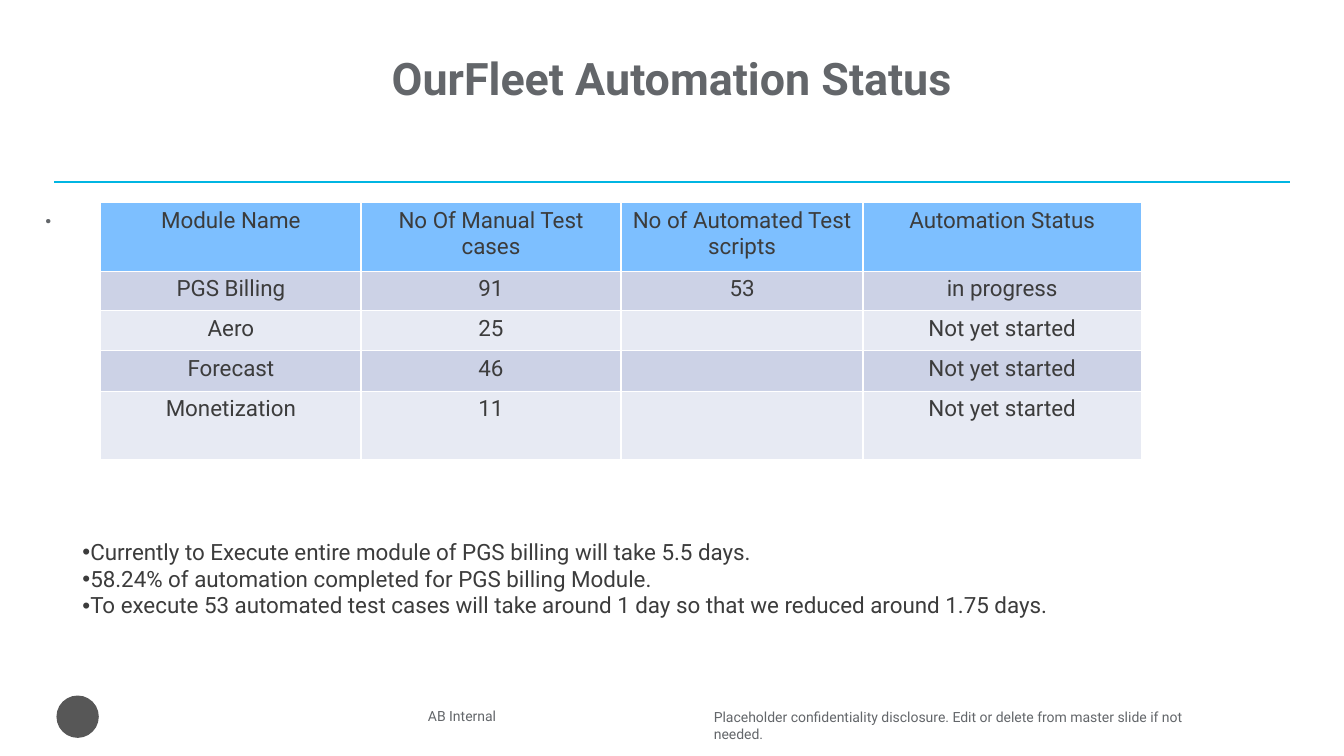
"""Build the fleet automation status slide."""
from lxml.etree import SubElement
from pptx import Presentation
from pptx.dml.color import RGBColor
from pptx.enum.shapes import MSO_CONNECTOR, MSO_SHAPE
from pptx.enum.text import MSO_ANCHOR, PP_ALIGN
from pptx.oxml.ns import qn
from pptx.util import Inches, Pt

GRAY = RGBColor(0x63, 0x66, 0x6A)
DARK = RGBColor(0x3C, 0x3C, 0x3C)
BADGE = RGBColor(0x57, 0x57, 0x57)
CYAN = RGBColor(0x00, 0xB5, 0xE2)
HEAD = RGBColor(0x7D, 0xBF, 0xFF)
BANDS = [RGBColor(0xE7, 0xEA, 0xF3), RGBColor(0xCC, 0xD2, 0xE6)]


def write(para, text, size, color, bold=False, **form):
    """Add a styled run and set the paragraph format."""
    run = para.add_run()
    run.text = text
    run.font.color.rgb = color
    for key, val in {"name": "Roboto", "size": Pt(size), "bold": bold}.items():
        setattr(run.font, key, val)
    for key, val in form.items():
        setattr(para, key, val)


def place(shape, box, inset=0):
    """Move a text shape and return its formatted frame."""
    for key, val in zip(("left", "top", "width", "height"), box):
        setattr(shape, key, Inches(val))
    frame = shape.text_frame
    form = {"word_wrap": True, "vertical_anchor": MSO_ANCHOR.TOP,
            "margin_left": Inches(inset), "margin_right": Inches(inset),
            "margin_top": Inches(inset / 2), "margin_bottom": Inches(inset / 2)}
    for key, val in form.items():
        setattr(frame, key, val)
    return frame


deck = Presentation()
deck.slide_width, deck.slide_height = Inches(13.33), Inches(7.5)
slide = deck.slides.add_slide(deck.slide_layouts[5])
shapes = slide.shapes

title = place(shapes.title, (0.54, 0.56, 12.25, 1))
write(title.paragraphs[0], "OurFleet Automation Status", 32, GRAY, True,
      alignment=PP_ALIGN.CENTER, line_spacing=0.9)

rule = shapes.add_connector(MSO_CONNECTOR.STRAIGHT, Inches(0.54), Inches(1.81),
                            Inches(12.79), Inches(1.81))
rule.line.color.rgb = CYAN
rule.line.width = Pt(1.5)
SubElement(rule._element.spPr, qn("a:effectLst"))

badge = shapes.add_shape(MSO_SHAPE.OVAL, Inches(0.56), Inches(6.9),
                         Inches(0.42), Inches(0.42))
badge.shadow.inherit = False
badge.fill.solid()
badge.fill.fore_color.rgb = BADGE
badge.line.fill.background()

labels = [
    ((0.43, 1.86, 12.25, 4.69), ".", 28, PP_ALIGN.LEFT, 0.95),
    ((7.08, 7.03, 4.97, 0.2), "Placeholder confidentiality disclosure. "
     "Edit or delete from master slide if not needed.", 10, PP_ALIGN.LEFT, 1.0),
    ((1.39, 7.03, 3.53, 0.2), "AB Internal", 10, PP_ALIGN.RIGHT, 0.99),
]
for box, text, size, align, space in labels:
    frame = place(shapes.add_textbox(0, 0, 0, 0), box)
    write(frame.paragraphs[0], text, size, GRAY,
          alignment=align, line_spacing=space)

rows = [
    ("Module Name", "No Of Manual Test cases",
     "No of Automated Test scripts", "Automation Status"),
    ("PGS Billing", "91", "53", "in progress"),
    ("Aero", "25", "", "Not yet started"),
    ("Forecast", "46", "", "Not yet started"),
    ("Monetization", "11", "", "Not yet started"),
]
table = shapes.add_table(len(rows), 4, Inches(1), Inches(2.01),
                         Inches(10.32), Inches(2.53)).table
for col, width in zip(table.columns, (2.58, 2.58, 2.4, 2.76)):
    col.width = Inches(width)
for row, height in zip(table.rows, (0.68, 0.39, 0.39, 0.39, 0.68)):
    row.height = Inches(height)
for r, row in enumerate(rows):
    for c, text in enumerate(row):
        cell = table.cell(r, c)
        cell.fill.solid()
        cell.fill.fore_color.rgb = BANDS[r % 2] if r else HEAD
        write(cell.text_frame.paragraphs[0], text, 16, DARK,
              alignment=PP_ALIGN.CENTER, line_spacing=0.99 if r else 1.0)

notes = [
    "Currently to Execute entire module of PGS billing will take 5.5 days.",
    "58.24% of automation completed for PGS billing Module.",
    "To execute 53 automated test cases will take around 1 day "
    "so that we reduced around 1.75 days.",
]
frame = place(shapes.add_textbox(0, 0, 0, 0), (0.72, 5.3, 10.97, 0.9), 0.1)
for n, text in enumerate(notes):
    para = frame.add_paragraph() if n else frame.paragraphs[0]
    write(para, text, 16, DARK, line_spacing=0.99)
    props = para._p.get_or_add_pPr()
    props.set("marL", "0")
    props.set("indent", str(-Inches(0.31)))
    SubElement(props, qn("a:buFont")).set("typeface", "Arial")
    SubElement(props, qn("a:buChar")).set("char", "•")

deck.save("out.pptx")
